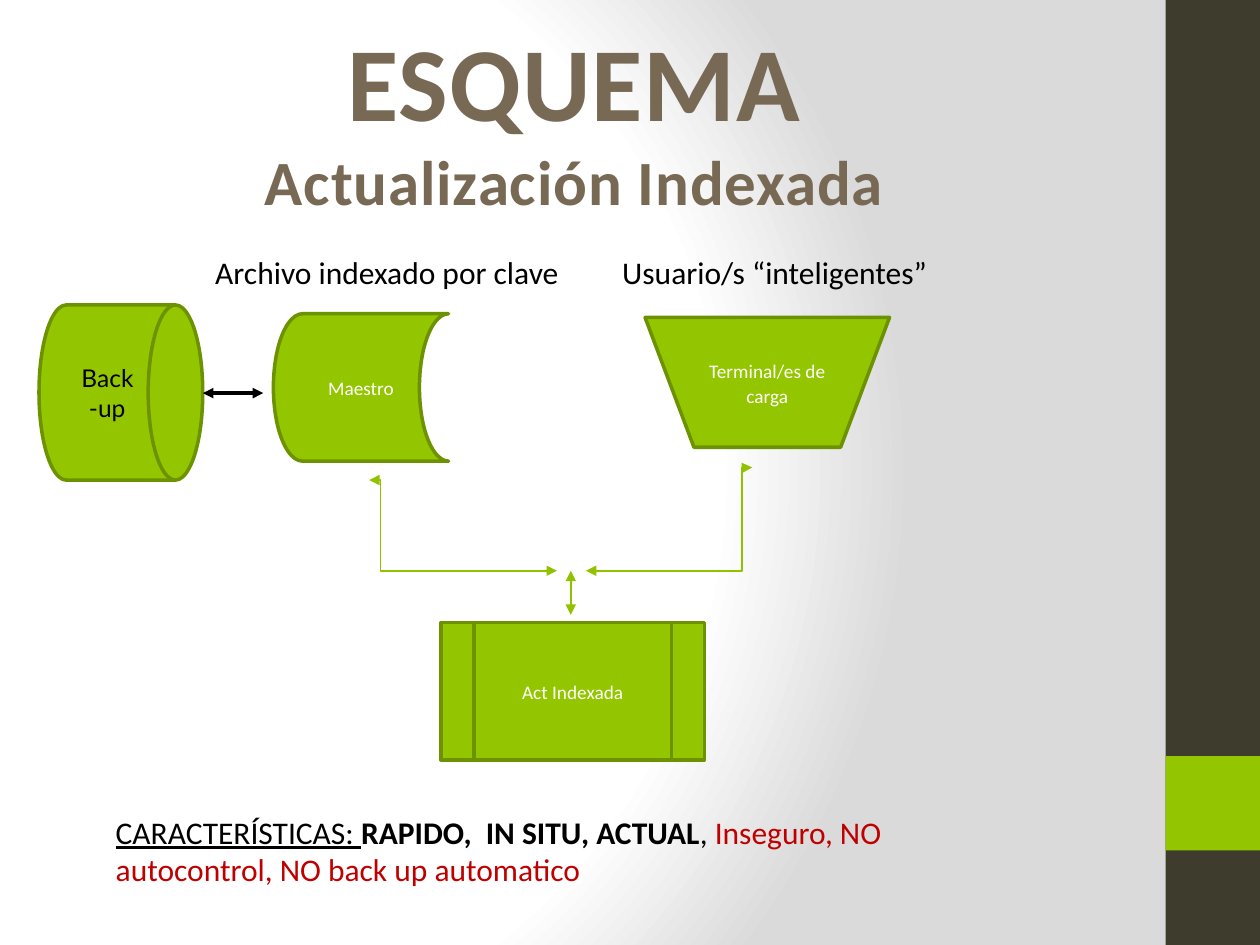
from lxml.etree import SubElement
from pptx import Presentation
from pptx.dml.color import RGBColor
from pptx.enum.shapes import MSO_CONNECTOR, MSO_SHAPE
from pptx.enum.text import MSO_ANCHOR, PP_ALIGN
from pptx.oxml import parse_xml
from pptx.oxml.ns import nsdecls, qn
from pptx.util import Inches, Pt

GREEN, EDGE, ARROW = "94C600", "6D9200", "91C200"
DARK, BROWN, RED = "3E3D2D", "776954", "C00000"
BLACK, WHITE = "000000", "FFFFFF"


def rgb(code):
    return RGBColor.from_string(code)


def set_font(font, size, color, name="Calibri"):
    font.size, font.name = Pt(size), name
    font.color.rgb = rgb(color)


def paint_back(slide):
    """Fill the background with a white to grey circular gradient."""
    fill = slide.background.fill
    fill.solid()
    old = slide.background._cSld.bg.bgPr.find(qn("a:solidFill"))
    stops = "".join(
        f'<a:gs pos="{spot * 1000}"><a:srgbClr val="{color}"/></a:gs>'
        for spot, color in ((0, WHITE), (75, WHITE), (100, "DADADA")))
    grad = parse_xml(
        f'<a:gradFill {nsdecls("a")} rotWithShape="1"><a:gsLst>{stops}</a:gsLst>'
        '<a:path path="circle"><a:fillToRect l="20000" t="50000" r="100000" '
        'b="50000"/></a:path></a:gradFill>')
    old.getparent().replace(old, grad)


def add_block(slide, kind, box, fill, edge=None):
    shape = slide.shapes.add_shape(kind, *map(Inches, box))
    shape.shadow.inherit = False
    shape.fill.solid()
    shape.fill.fore_color.rgb = rgb(fill)
    if edge:
        shape.line.color.rgb = rgb(edge)
        shape.line.width = Pt(2)
    else:
        shape.line.fill.background()
    return shape


def add_node(slide, kind, box, text, size=11, color=WHITE, name="Calibri"):
    """Add a green flowchart symbol with a centred label."""
    frame = add_block(slide, kind, box, GREEN, EDGE).text_frame
    frame.word_wrap = True
    frame.vertical_anchor = MSO_ANCHOR.MIDDLE
    para = frame.paragraphs[0]
    para.text = text
    para.alignment = PP_ALIGN.CENTER
    set_font(para.font, size, color, name)
    return para


def add_arrow(slide, start, end, color=ARROW, width=1, bend=None):
    """Add a two-headed arrow; bend is the elbow's place along its width."""
    kind = MSO_CONNECTOR.STRAIGHT if bend is None else MSO_CONNECTOR.ELBOW
    line = slide.shapes.add_connector(kind, *map(Inches, start + end))
    line.line.color.rgb = rgb(color)
    line.line.width = Pt(width)
    props = line._element.spPr
    for tag in ("a:headEnd", "a:tailEnd"):
        SubElement(props.ln, qn(tag), type="triangle")
    SubElement(props, qn("a:effectLst"))
    if bend is not None:
        guides = props.find(qn("a:prstGeom")).get_or_add_avLst()
        SubElement(guides, qn("a:gd"), name="adj1",
                   fmla=f"val {round(bend * 100000)}")


def add_text(slide, box, size, color):
    """Add a wrapping text box and return its first paragraph."""
    frame = slide.shapes.add_textbox(*map(Inches, box)).text_frame
    frame.word_wrap = True
    para = frame.paragraphs[0]
    set_font(para.font, size, color)
    return para


def add_title(slide):
    box = slide.shapes.add_textbox(*map(Inches, (0.31, 0, 8.5, 1.78)))
    frame = box.text_frame
    frame.word_wrap = True
    frame.vertical_anchor = MSO_ANCHOR.BOTTOM
    para = frame.paragraphs[0]
    para.alignment = PP_ALIGN.CENTER
    for text, size in (("ESQUEMA", 60), ("Actualización Indexada", 36)):
        if para.runs:
            para.add_line_break()
        run = para.add_run()
        run.text = text
        set_font(run.font, size, BROWN)
        run.font.bold = True
        run._r.get_or_add_rPr().set("spc", "50")


def add_heads(slide):
    para = add_text(slide, (1.61, 1.96, 6.38, 0.4), 18, BLACK)
    props = para._p.get_or_add_pPr()
    tabs = parse_xml(f'<a:tabLst {nsdecls("a")}>'
                     f'<a:tab pos="{Inches(3.23)}" algn="l"/></a:tabLst>')
    props.insert(0, tabs)
    para.text = "Archivo indexado por clave\tUsuario/s “inteligentes”"


def add_traits(slide):
    para = add_text(slide, (0.82, 6.4, 7.48, 0.71), 18, BLACK)
    for text, bold, under, color in (
            ("CARACTERÍSTICAS: ", False, True, BLACK),
            ("RAPIDO,  IN SITU, ACTUAL", True, False, BLACK),
            (", ", False, False, BLACK),
            ("Inseguro, NO autocontrol, NO back up automatico",
             False, False, RED)):
        run = para.add_run()
        run.text = text
        set_font(run.font, 18, color)
        run.font.bold, run.font.underline = bold, under


def add_flow(slide):
    add_arrow(slide, (2.93, 3.81), (4.42, 4.53), bend=0.06)
    for kind, box, text in (
            (MSO_SHAPE.FLOWCHART_STORED_DATA, (2.17, 2.49, 1.39, 1.17),
             "Maestro"),
            (MSO_SHAPE.FLOWCHART_MANUAL_OPERATION, (5.12, 2.52, 1.94, 1.03),
             "Terminal/es de carga"),
            (MSO_SHAPE.FLOWCHART_PREDEFINED_PROCESS, (3.5, 4.94, 2.09, 1.09),
             "Act Indexada")):
        para = add_node(slide, kind, box, text)
        para.line_spacing = 1.07
        para.space_after = Pt(8)
    add_arrow(slide, (5.97, 3.71), (4.65, 4.53), bend=0.06)
    add_arrow(slide, (4.53, 4.53), (4.53, 4.88))
    add_node(slide, MSO_SHAPE.FLOWCHART_DIRECT_ACCESS_STORAGE,
             (0.31, 2.42, 1.3, 1.39), "Back-up", 14, BLACK, "Lato")
    add_arrow(slide, (1.61, 3.12), (2.09, 3.12), BLACK, 2)


def main():
    deck = Presentation()
    deck.slide_width, deck.slide_height = Inches(10), Inches(7.5)
    slide = deck.slides.add_slide(deck.slide_layouts[6])
    paint_back(slide)
    add_block(slide, MSO_SHAPE.RECTANGLE, (9.25, 0, 0.75, 7.5), DARK)
    add_block(slide, MSO_SHAPE.RECTANGLE, (9.25, 6, 0.75, 0.75), GREEN)
    add_title(slide)
    add_heads(slide)
    add_flow(slide)
    add_traits(slide)
    deck.save("out.pptx")


if __name__ == "__main__":
    main()
